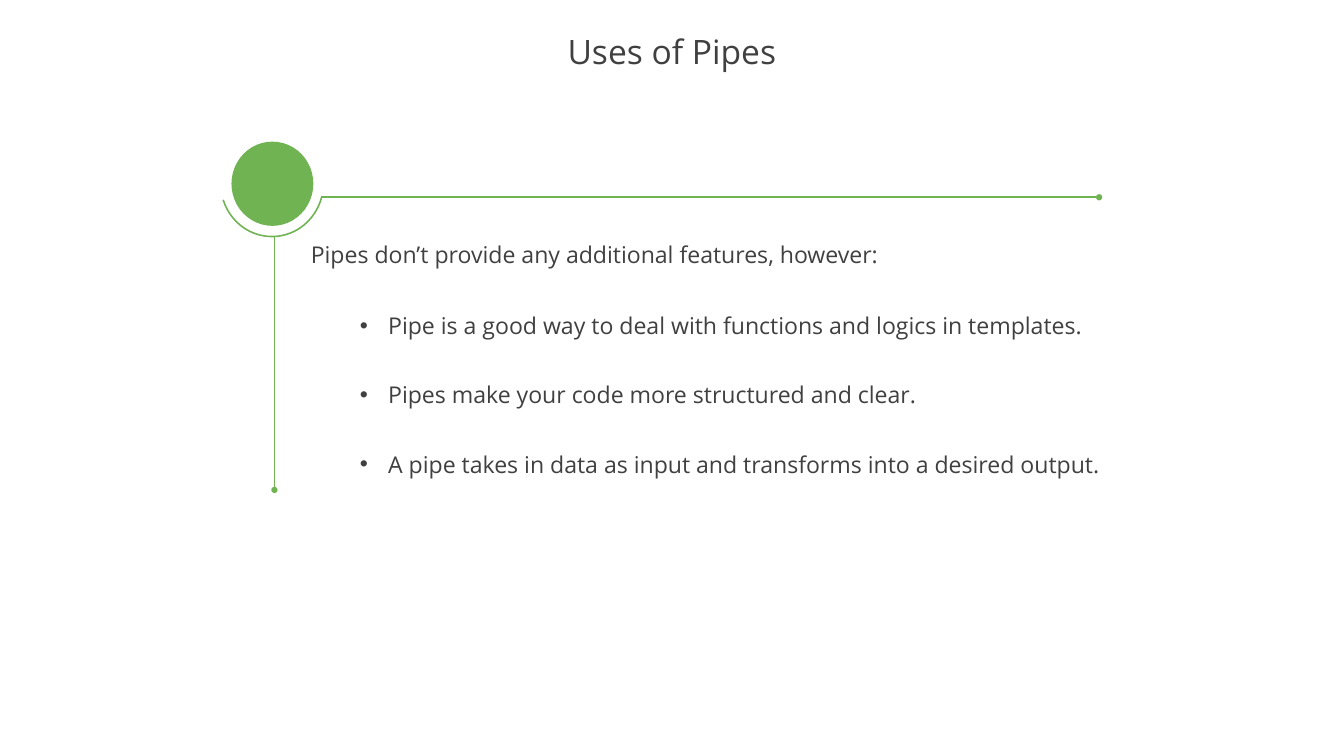
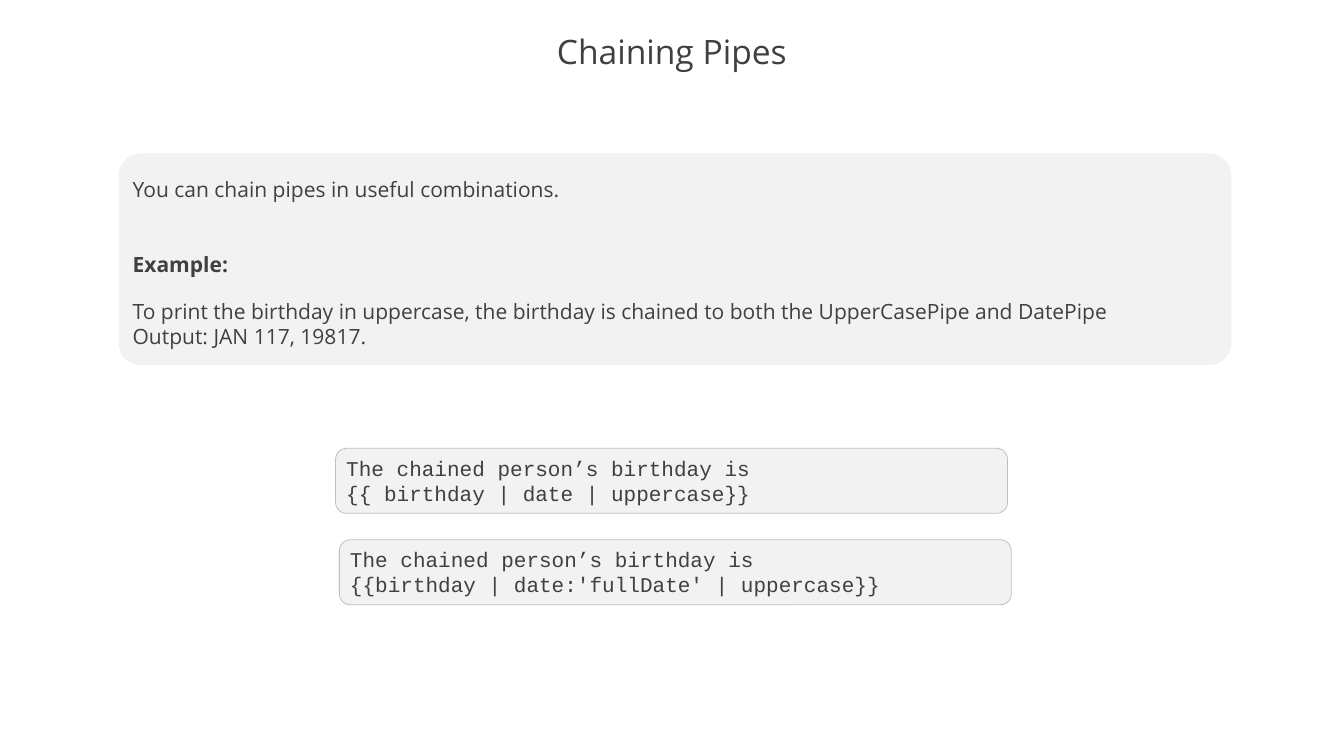
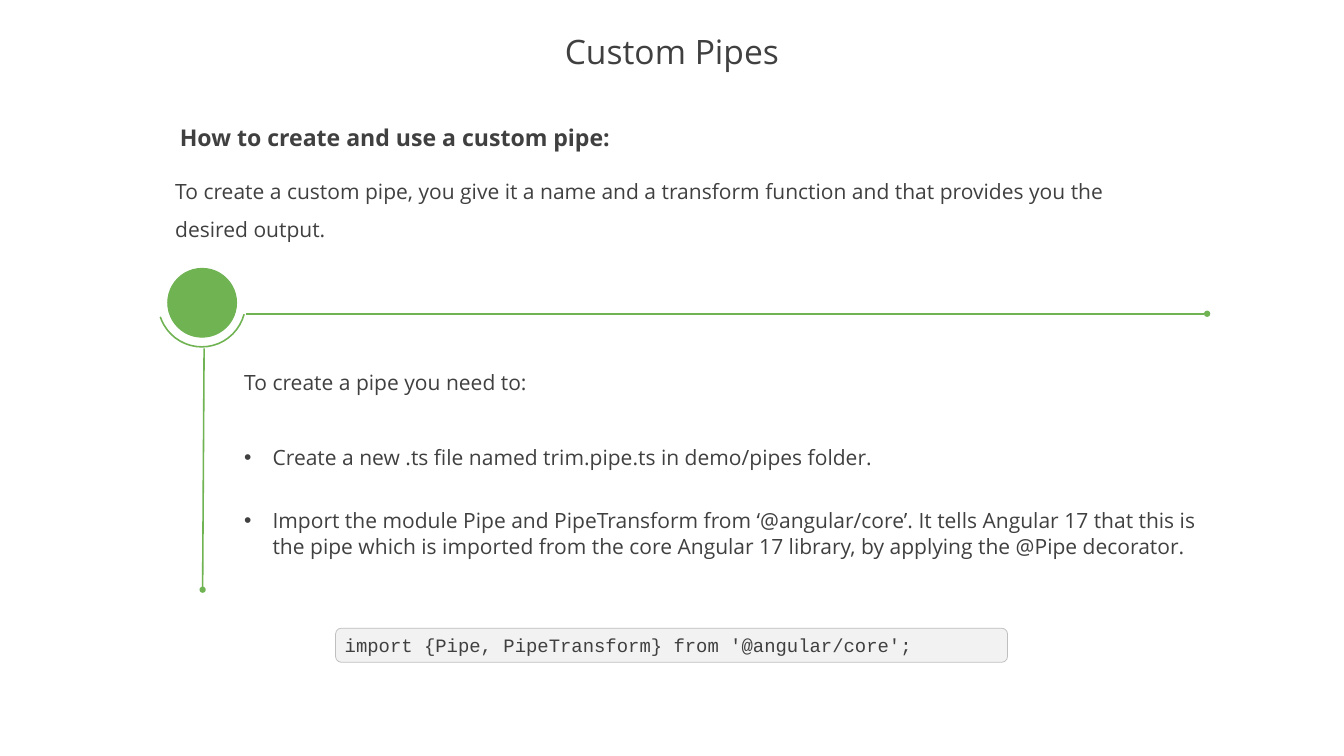
import pptx
import pptx.util
import pptx.dml.color
import pptx.enum.shapes
import pptx.enum.text
import pptx.oxml.ns
from dataclasses import dataclass
from lxml import etree

Pt = pptx.util.Pt
Shape = pptx.enum.shapes.MSO_SHAPE
Anchor = pptx.enum.text.MSO_ANCHOR
Align = pptx.enum.text.PP_ALIGN
qn = pptx.oxml.ns.qn


@dataclass(frozen=True)
class Theme:
    green = pptx.dml.color.RGBColor.from_string("70B353")
    ink = pptx.dml.color.RGBColor.from_string("404040")
    panel = pptx.dml.color.RGBColor.from_string("F2F2F2")
    edge = pptx.dml.color.RGBColor.from_string("BFBFBF")
    font = "Open Sans"
    code_font = "Courier New"
    title = 32
    lead = 22
    body = 20
    code = 18
    indent = 27


theme = Theme()


def write(box, text, size=theme.body, font=theme.font, bold=False, align=Align.LEFT,
          spacing=1.0, before=0, bullet=False, anchor=Anchor.TOP, wrap=True):
    """Add one formatted paragraph to a box."""
    frame = box.text_frame
    frame.word_wrap = wrap
    frame.auto_size = pptx.enum.text.MSO_AUTO_SIZE.NONE
    frame.vertical_anchor = anchor
    para = frame.add_paragraph() if frame.text else frame.paragraphs[0]
    para.alignment = align
    para.line_spacing = spacing
    para.space_before = Pt(before)
    para.space_after = Pt(0)
    span = para.add_run()
    span.text = text
    span.font.size = Pt(size)
    span.font.name = font
    span.font.bold = bold
    span.font.color.rgb = theme.ink
    # Bullet and hanging indent
    props = para._p.get_or_add_pPr()
    margin = int(Pt(theme.indent)) if bullet else 0
    props.set("marL", str(margin))
    props.set("indent", str(-margin))
    if bullet:
        etree.SubElement(props, qn("a:buFont"), typeface="Arial")
        etree.SubElement(props, qn("a:buChar"), char="•")
    else:
        etree.SubElement(props, qn("a:buNone"))


def draw_marker(page, disc, ring, lines):
    """Draw a green disc, the arc below it and its dot-ended lines."""
    for kind, bounds in ((Shape.OVAL, disc), (Shape.ARC, ring)):
        shape = page.shapes.add_shape(kind, *map(Pt, bounds))
        shape.shadow.inherit = False
        shape.line.color.rgb = theme.green
        if kind == Shape.OVAL:
            shape.fill.solid()
            shape.fill.fore_color.rgb = theme.green
            shape.line.width = Pt(1)
        else:
            shape.fill.background()
            shape.line.width = Pt(1.5)
            shape.adjustments[0] = 9.186
            shape.adjustments[1] = 96.726
    for ends in lines:
        line = page.shapes.add_connector(
            pptx.enum.shapes.MSO_CONNECTOR.STRAIGHT, *map(Pt, ends))
        line.line.color.rgb = theme.green
        line.line.width = Pt(1.5)
        etree.SubElement(line.line._get_or_add_ln(), qn("a:tailEnd"), type="oval")
        etree.SubElement(line._element.spPr, qn("a:effectLst"))


deck = pptx.Presentation()
deck.slide_width = Pt(1280.16)
deck.slide_height = Pt(720)

# Pages with their titles and, where there is a list, body bounds
pages = []
for title, body in (("Uses of Pipes", (335.5, 253.4, 792.7, 207.4)),
                    ("Chaining Pipes", None),
                    ("Custom Pipes", (225.4, 336.2, 929.5, 200.9))):
    page = deck.slides.add_slide(deck.slide_layouts[1 if body else 5])
    placed = [(page.shapes.title, (0, 25.2, 1280.16, 52.6))]
    if body:
        placed.append((page.placeholders[1], body))
    for box, bounds in placed:
        box.left, box.top, box.width, box.height = map(Pt, bounds)
    write(page.shapes.title, title, size=theme.title, align=Align.CENTER,
          spacing=0.9, anchor=Anchor.MIDDLE)
    pages.append(page)
uses, chaining, custom = pages

# Uses of Pipes: marker, lead line and list
draw_marker(uses, (221, 135.4, 77, 79.2), (210.2, 123.8, 97.9, 101.5),
            ((306, 187.9, 1046.9, 187.9), (261.4, 225.4, 261.4, 466.6)))
lead = uses.shapes.add_textbox(Pt(285.1), Pt(221.8), Pt(562.3), Pt(37.4))
write(lead, "Pipes don’t provide any additional features, however:", size=theme.lead,
      align=Align.CENTER, spacing=Pt(30), anchor=Anchor.MIDDLE, wrap=False)
for text in ("Pipe is a good way to deal with functions and logics in templates.",
             "Pipes make your code more structured and clear.",
             "A pipe takes in data as input and transforms into a desired output."):
    write(uses.placeholders[1], text, size=theme.lead, spacing=2.5, bullet=True)

# Chaining Pipes: explanation panel
panel = chaining.shapes.add_shape(Shape.ROUNDED_RECTANGLE,
                                  Pt(113), Pt(146.2), Pt(1059.8), Pt(201.6))
panel.adjustments[0] = 0.106
panel.shadow.inherit = False
panel.fill.solid()
panel.fill.fore_color.rgb = theme.panel
panel.line.fill.background()
write(panel, "You can chain pipes in useful combinations.", spacing=1.5)
write(panel, "Example:", bold=True, spacing=1.5, before=36)
write(panel, "To print the birthday in uppercase, the birthday is chained to both "
             "the UpperCasePipe and DatePipe", before=20)
write(panel, "Output: JAN 117, 19817.")

# Custom Pipes: heading, introduction, marker and steps
heading = custom.shapes.add_textbox(Pt(159.8), Pt(100.1), Pt(432.7), Pt(47.5))
write(heading, "How to create and use a custom pipe:", size=theme.lead, bold=True,
      align=Align.CENTER, spacing=1.5, anchor=Anchor.MIDDLE, wrap=False)
intro = custom.shapes.add_textbox(Pt(159.8), Pt(154.1), Pt(915.1), Pt(79.9))
write(intro, "To create a custom pipe, you give it a name and a transform function "
             "and that provides you the desired output.",
      spacing=1.5, anchor=Anchor.MIDDLE)
draw_marker(custom, (159.8, 255.6, 65.5, 65.5), (150.5, 246.2, 83.5, 84.2),
            ((234.7, 298.8, 1149.8, 298.8), (194.4, 331.9, 193, 561.6)))
steps = custom.placeholders[1]
write(steps, "To create a pipe you need to:", spacing=1.5)
write(steps, "Create a new .ts file named trim.pipe.ts in demo/pipes folder.",
      spacing=1.5, before=36, bullet=True)
write(steps, "Import the module Pipe and PipeTransform from ‘@angular/core’. It tells "
             "Angular 17 that this is the pipe which is imported from the core "
             "Angular 17 library, by applying the @Pipe decorator.",
      before=36, bullet=True)

# Code boxes
for page, left, top, height, size, code in (
    (chaining, 319.7, 427, 61.9, theme.body,
     ("The chained person’s birthday is", "{{ birthday | date | uppercase}}")),
    (chaining, 323.3, 514.1, 61.9, theme.body,
     ("The chained person’s birthday is", "{{birthday | date:'fullDate' | uppercase}}")),
    (custom, 319.7, 598.3, 32.4, theme.code,
     ("import {Pipe, PipeTransform} from '@angular/core';",)),
):
    box = page.shapes.add_shape(Shape.ROUNDED_RECTANGLE,
                                Pt(left), Pt(top), Pt(640), Pt(height))
    box.shadow.inherit = False
    box.fill.solid()
    box.fill.fore_color.rgb = theme.panel
    box.line.color.rgb = theme.edge
    box.line.width = Pt(0.75)
    for text in code:
        write(box, text, size=size, font=theme.code_font)

deck.save("out.pptx")
